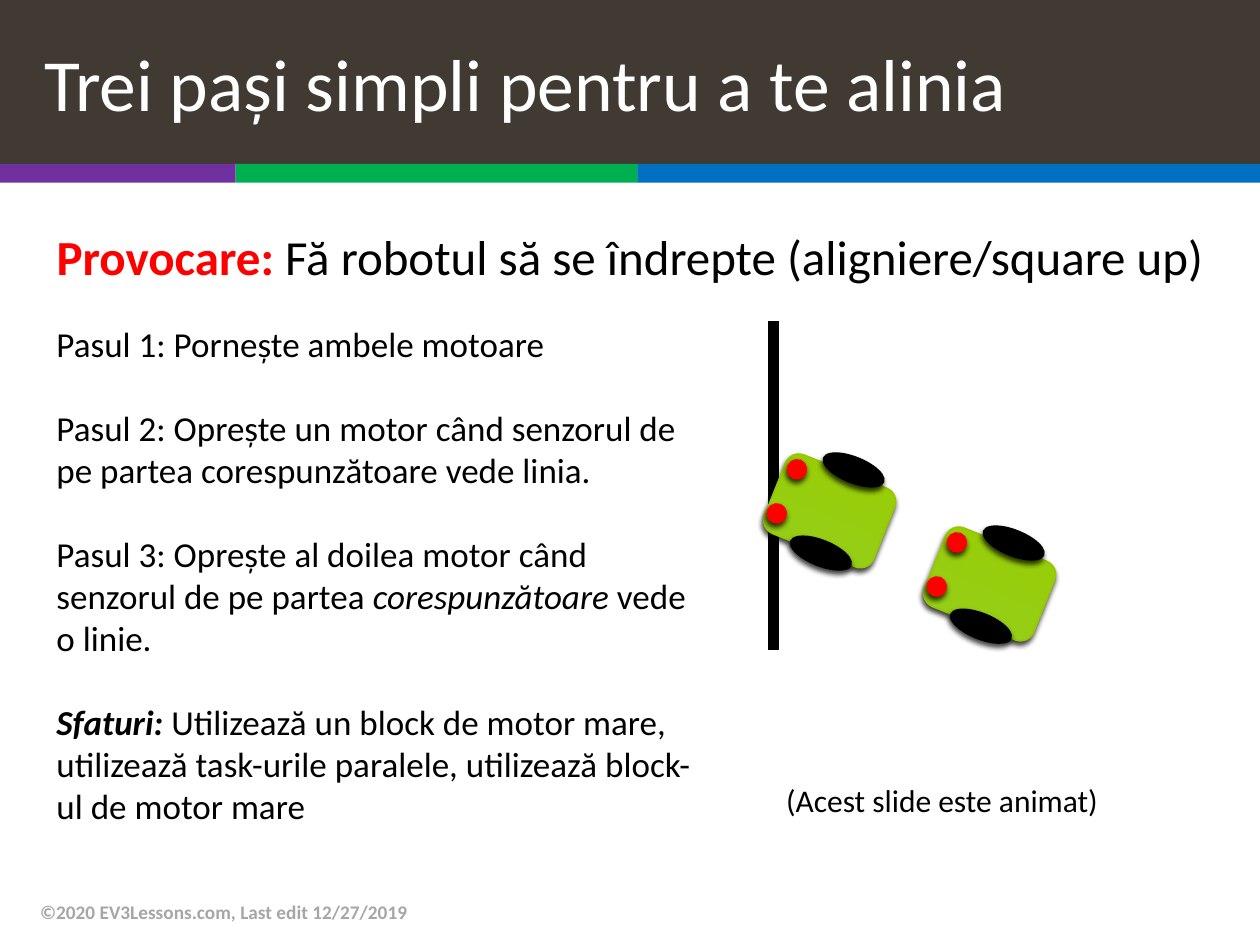
"""Build the slide on the three steps for squaring a robot up to a line."""
from lxml import etree
from pptx import Presentation
from pptx import util as u
from pptx.dml.color import RGBColor
from pptx.enum import shapes, text
from pptx.oxml.ns import qn

COLORS = {
    "bar": "413A33", "white": "FFFFFF", "black": "000000", "red": "FF0000",
    "grey": "A6A6A6", "purple": "7030A0", "green": "00B050", "blue": "0070C0",
    "body_start": "93CF1E", "body_end": "99CC00", "body_line": "96C800",
}
RGB = {name: RGBColor.from_string(value) for name, value in COLORS.items()}
COLUMNS, ROWS = 100, 75

deck = Presentation()
deck.slide_width, deck.slide_height = u.Inches(10), u.Inches(7.5)
page = deck.slides.add_slide(deck.slide_layouts[1])


def cell(column, row, width, height):
    """Turn grid units into left, top, width and height."""
    across, down = deck.slide_width / COLUMNS, deck.slide_height / ROWS
    return [u.Emu(round(size)) for size in
            (column * across, row * down, width * across, height * down)]


def write(para, content, size=20, color="black", bold=False, italic=False):
    """Add a formatted span to a paragraph."""
    span = para.add_run()
    span.text = content
    span.font.name = "Calibri"
    span.font.size = u.Pt(size)
    span.font.bold, span.font.italic = bold, italic
    span.font.color.rgb = RGB[color]


# fmt: off
stripe_left = 0
for color, width in (("purple", 18.7), ("green", 31.9), ("blue", 49.4)):
    stripe = page.shapes.add_shape(
        shapes.MSO_SHAPE.RECTANGLE, *cell(stripe_left, 13, width, 1.5))
    stripe.shadow.inherit = False
    stripe.fill.solid()
    stripe.fill.fore_color.rgb = RGB[color]
    stripe.line.fill.background()
    stripe_left += width

title = page.shapes.title
title.left, title.top, title.width, title.height = cell(0, 0, COLUMNS, 13)
title.fill.solid()
title.fill.fore_color.rgb = RGB["bar"]
title.text_frame.auto_size = text.MSO_AUTO_SIZE.NONE
title.text_frame.vertical_anchor = text.MSO_ANCHOR.MIDDLE
para = title.text_frame.paragraphs[0]
para.alignment = text.PP_ALIGN.LEFT
para._p.get_or_add_pPr().set("marL", str(u.Inches(0.25)))
write(para, "Trei pași simpli pentru a te alinia", size=42, color="white")

challenge = page.placeholders[1]
challenge.left, challenge.top, challenge.width, challenge.height = cell(3.5, 17.5, 94.2, 13.6)
challenge.text_frame.auto_size = text.MSO_AUTO_SIZE.NONE
para = challenge.text_frame.paragraphs[0]
properties = para._p.get_or_add_pPr()
properties.set("marL", "0")
properties.set("indent", "0")
etree.SubElement(properties, qn("a:buNone"))
para.space_before = u.Pt(0)
write(para, "Provocare: ", size=28, color="red", bold=True)
write(para, "Fă robotul să se îndrepte (aligniere/square up)", size=28)

line = page.shapes.add_connector(
    shapes.MSO_CONNECTOR.STRAIGHT, *cell(61.4, 51.6, 61.4, 25.5))
line.line.color.rgb = RGB["black"]
line.line.width = u.Pt(6)
etree.SubElement(line._element.spPr, qn("a:effectLst"))

ROUNDED, OVAL = shapes.MSO_SHAPE.ROUNDED_RECTANGLE, shapes.MSO_SHAPE.OVAL
ROBOT_PARTS = (
    (ROUNDED, None, (0.3, 0.9, 9.3, 6.7)),
    (OVAL, "black", (4.3, 0, 5.1, 2)),
    (OVAL, "black", (1.7, 6.6, 5.1, 2)),
    (OVAL, "red", (1.6, 0.2, 1.5, 1.5)),
    (OVAL, "red", (0, 3.7, 1.5, 1.5)),
)
for robot_column, robot_row in ((73.6, 42.1), (60.9, 36.3)):
    robot = page.shapes.add_group_shape()
    for kind, color, (column, row, width, height) in ROBOT_PARTS:
        part = robot.shapes.add_shape(
            kind, *cell(robot_column + column, robot_row + row, width, height))
        part.rotation = 21.9
        if color:
            part.fill.solid()
            part.fill.fore_color.rgb = RGB[color]
        else:
            part.fill.gradient()
            part.fill.gradient_angle = 90
            for stop, name in zip(part.fill.gradient_stops, ("body_start", "body_end")):
                stop.color.rgb = RGB[name]
        part.line.color.rgb = RGB[color or "body_line"]
        part.line.width = u.Pt(1)
        part.shadow.inherit = False
        shadow = etree.SubElement(
            part._element.spPr.find(qn("a:effectLst")), qn("a:outerShdw"),
            blurRad=str(u.Pt(3)), dist=str(u.Pt(2)), dir=str(110 * 60000), rotWithShape="0")
        tint = etree.SubElement(shadow, qn("a:srgbClr"), val=COLORS["black"])
        etree.SubElement(tint, qn("a:alpha"), val="75000")

STEPS = (
    (("Pasul 1: Pornește ambele motoare", {}),),
    (("Pasul 2: Oprește un motor când senzorul de pe partea corespunzătoare vede linia.", {}),),
    (("Pasul 3: Oprește al doilea motor când senzorul de pe partea ", {}),
     ("corespunzătoare", {"italic": True}),
     (" vede o linie.", {})),
    (("Sfaturi: ", {"bold": True, "italic": True}),
     ("Utilizează un block de motor mare, utilizează task-urile paralele, "
      "utilizează block-ul de motor mare", {})),
)
NOTE = ((("(Acest slide este animat)", {"size": 18}),),)
CREDIT = ((("©2020 EV3Lessons.com, Last edit 12/27/2019",
            {"size": 11, "color": "grey", "bold": True}),),)
for place, anchor, paragraphs in (
    ((3.5, 25.1, 53, 41.4), text.MSO_ANCHOR.TOP, STEPS),
    ((61.4, 61.5, 29.8, 4), text.MSO_ANCHOR.TOP, NOTE),
    ((2.2, 70.4, 67, 4), text.MSO_ANCHOR.MIDDLE, CREDIT),
):
    box = page.shapes.add_textbox(*cell(*place))
    frame = box.text_frame
    frame.word_wrap = True
    frame.vertical_anchor = anchor
    for number, spans in enumerate(paragraphs):
        para = frame.add_paragraph() if number else frame.paragraphs[0]
        para.space_before = u.Pt(24 if number else 0)
        for content, style in spans:
            write(para, content, **style)

deck.save("out.pptx")
